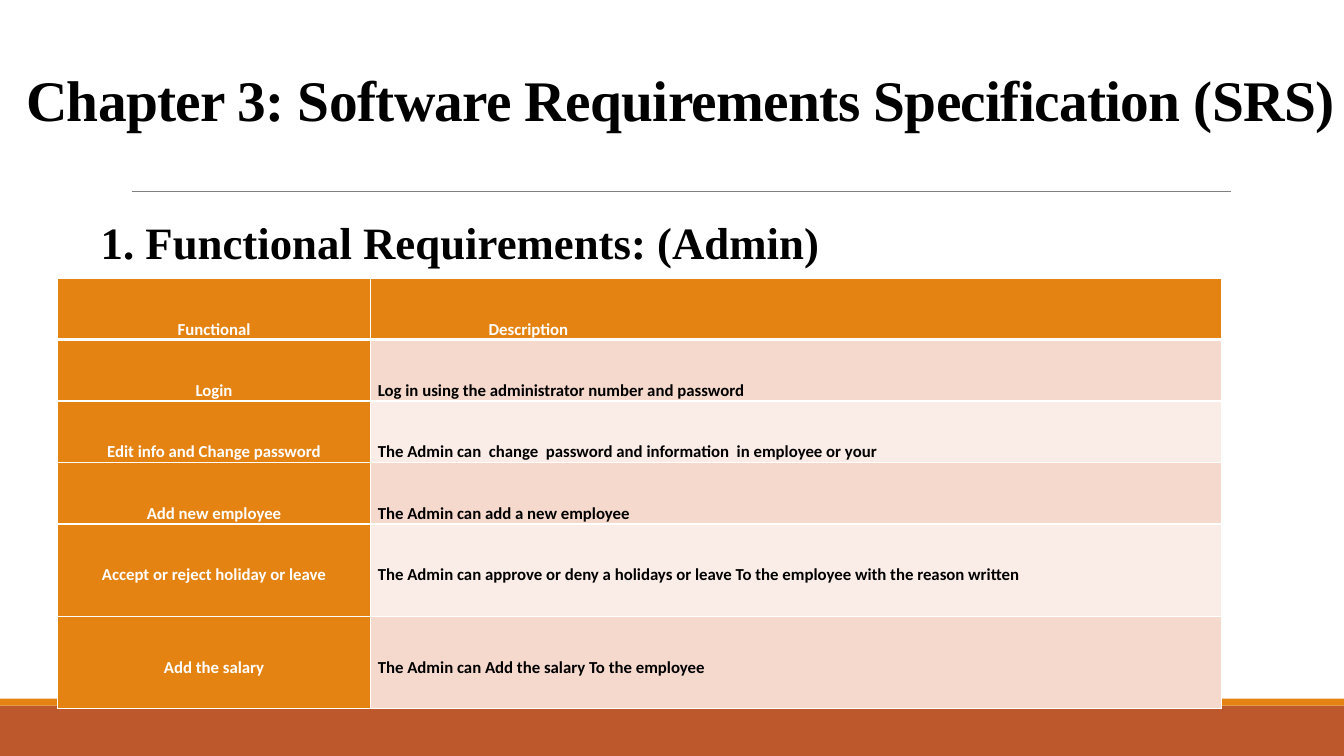
from lxml import etree
from pptx import Presentation
from pptx.dml.color import RGBColor
from pptx.enum import shapes, text
from pptx.oxml import ns
from pptx.util import Pt

WHITE = RGBColor(0xFF, 0xFF, 0xFF)
BLACK = RGBColor(0, 0, 0)
GRAY = RGBColor(0x80, 0x80, 0x80)
ORANGE = RGBColor(0xE4, 0x83, 0x12)
RUST = RGBColor(0xBD, 0x58, 0x2C)
PINK = RGBColor(0xF5, 0xD9, 0xCC)
PALE_PINK = RGBColor(0xFA, 0xED, 0xE7)

REQUIREMENTS = [
    ("Functional", "Description"),
    ("Login", "Log in using the administrator number and password"),
    ("Edit info and Change password",
     "The Admin can  change  password and information  in employee or your"),
    ("Add new employee", "The Admin can add a new employee"),
    ("Accept or reject holiday or leave",
     "The Admin can approve or deny a holidays or leave To the employee with the reason written"),
    ("Add the salary", "The Admin can Add the salary To the employee"),
]


def style_text(para, name, size, color):
    para.font.name = name
    para.font.size = Pt(size)
    para.font.bold = True
    para.font.color.rgb = color


def add_borders(cell, top, bottom):
    properties = cell._tc.get_or_add_tcPr()
    for side, width in (("L", 1), ("R", 1), ("T", top), ("B", bottom)):
        border = etree.SubElement(properties, ns.qn("a:ln" + side), w=str(Pt(width)))
        fill = etree.SubElement(border, ns.qn("a:solidFill"))
        etree.SubElement(fill, ns.qn("a:srgbClr"), val=str(WHITE))


deck = Presentation()
deck.slide_width = Pt(960)
deck.slide_height = Pt(540)
page = deck.slides.add_slide(deck.slide_layouts[5])

for top, height, color in ((504, 36, RUST), (499, 5, ORANGE)):
    bar = page.shapes.add_shape(shapes.MSO_SHAPE.RECTANGLE, 0, Pt(top), Pt(960), Pt(height))
    bar.shadow.inherit = False
    bar.fill.solid()
    bar.fill.fore_color.rgb = color
    bar.line.fill.background()

rule = page.shapes.add_connector(
    shapes.MSO_CONNECTOR.STRAIGHT, Pt(94.3), Pt(136.6), Pt(879), Pt(136.6))
rule.line.color.rgb = GRAY
rule.line.width = Pt(0.5)
etree.SubElement(rule._element.spPr, ns.qn("a:effectLst"))

title = page.shapes.title
title.left, title.top, title.width, title.height = Pt(18.7), Pt(49), Pt(941), Pt(50)
frame = title.text_frame
frame.margin_left = frame.margin_right = frame.margin_top = frame.margin_bottom = 0
frame.vertical_anchor = text.MSO_ANCHOR.MIDDLE
frame.auto_size = text.MSO_AUTO_SIZE.NONE
frame.text = "Chapter 3: Software Requirements Specification (SRS)"
para = frame.paragraphs[0]
para.alignment = text.PP_ALIGN.LEFT
para.line_spacing = 0.85
style_text(para, "Times New Roman", 41, BLACK)
para.runs[0].font._element.set("spc", "-50")

table = page.shapes.add_table(
    len(REQUIREMENTS), 2, Pt(41), Pt(198.7), Pt(831.6), Pt(307.4)).table
table.columns[0].width = Pt(223.9)
table.columns[1].width = Pt(607.7)

for row, entries in enumerate(REQUIREMENTS):
    tall = row > 3
    table.rows[row].height = Pt(65.9 if tall else 43.9)
    for column, entry in enumerate(entries):
        cell = table.cell(row, column)
        cell.margin_left = cell.margin_right = Pt(5)
        cell.margin_top = cell.margin_bottom = 0
        cell.vertical_anchor = text.MSO_ANCHOR.MIDDLE if tall else text.MSO_ANCHOR.BOTTOM
        add_borders(cell, 3 if row == 1 else 1, 3 if row == 0 else 1)
        heading = row == 0 or column == 0
        cell.fill.solid()
        cell.fill.fore_color.rgb = ORANGE if heading else (PALE_PINK, PINK)[row % 2]
        cell.text = entry
        para = cell.text_frame.paragraphs[0]
        para.alignment = text.PP_ALIGN.LEFT if column else text.PP_ALIGN.CENTER
        para.line_spacing = 1.5
        style_text(para, "Calibri", 12, WHITE if heading else BLACK)

description = table.cell(0, 1).text_frame.paragraphs[0]
description._p.get_or_add_pPr().set("marL", str(Pt(79.2)))

box = page.shapes.add_textbox(Pt(64.8), Pt(149.8), Pt(529.2), Pt(46))
box.text_frame.word_wrap = True
box.text_frame.text = "1. Functional Requirements: (Admin)"
style_text(box.text_frame.paragraphs[0], "Times New Roman", 32, BLACK)

deck.save("out.pptx")
